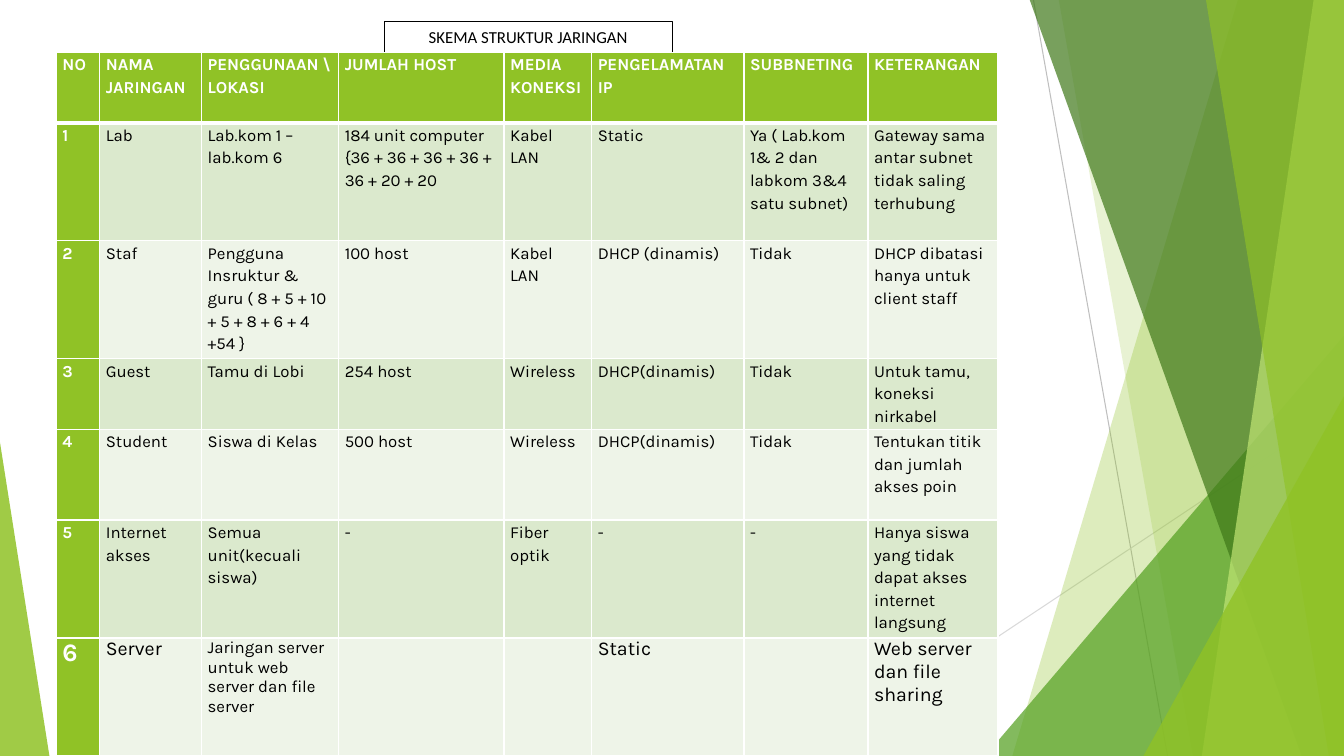
from lxml import etree
from pptx import Presentation
from pptx.dml.color import RGBColor
from pptx.enum.shapes import MSO_CONNECTOR, MSO_SHAPE
from pptx.enum.text import MSO_ANCHOR, PP_ALIGN
from pptx.oxml import parse_xml
from pptx.oxml.ns import nsdecls, qn
from pptx.util import Inches, Pt

WHITE = RGBColor(0xFF, 0xFF, 0xFF)
BLACK = RGBColor(0x00, 0x00, 0x00)
LIME = RGBColor(0x90, 0xC2, 0x26)
GREEN = RGBColor(0x54, 0xA0, 0x21)
DARK_GREEN = RGBColor(0x3F, 0x78, 0x19)
PALE_LIME = RGBColor(0xC0, 0xE4, 0x74)
BAND_DARK = RGBColor(0xDB, 0xE9, 0xCD)
BAND_LIGHT = RGBColor(0xEE, 0xF4, 0xE8)
GREY = RGBColor(0xBF, 0xBF, 0xBF)
LIGHT_GREY = RGBColor(0xD9, 0xD9, 0xD9)

COLS = [0.43, 1.01, 1.36, 1.64, 0.87, 1.51, 1.23, 1.29]
ROWS = [0.7, 1.17, 1.17, 0.7, 0.9, 1.17, 1.17]
NETWORKS = [
    ["NO", "NAMA JARINGAN", "PENGGUNAAN \\ LOKASI", "JUMLAH HOST", "MEDIA KONEKSI",
     "PENGELAMATAN IP", "SUBBNETING", "KETERANGAN"],
    ["1", "Lab", "Lab.kom 1 – lab.kom 6", "184 unit computer {36 + 36 + 36 + 36 + 36 + 20 + 20",
     "Kabel LAN", "Static", "Ya ( Lab.kom 1& 2 dan labkom 3&4 satu subnet)",
     "Gateway sama antar subnet tidak saling terhubung"],
    ["2", "Staf", "Pengguna Insruktur & guru ( 8 + 5 + 10 + 5 + 8 + 6 + 4 +54 }", "100 host",
     "Kabel LAN", "DHCP (dinamis)", "Tidak", "DHCP dibatasi hanya untuk client staff"],
    ["3", "Guest", "Tamu di Lobi", "254 host", "Wireless", "DHCP(dinamis)", "Tidak",
     "Untuk tamu, koneksi nirkabel"],
    ["4", "Student", "Siswa di Kelas", "500 host", "Wireless", "DHCP(dinamis)", "Tidak",
     "Tentukan titik dan jumlah akses poin"],
    ["5", "Internet akses", "Semua unit(kecuali siswa)", "-", "Fiber optik", "-", "-",
     "Hanya siswa yang tidak dapat akses internet langsung"],
    ["6", "Server", "Jaringan server untuk web server dan file server", "", "", "Static", "",
     "Web server dan file sharing"],
]
SERVER_SIZES = {0: 18, 2: 12}


class SlideBuilder:
    """Draws styled elements on the current slide."""

    def __init__(self, s):
        self.s = s
        self.title_font = "Calibri"
        self.table_font = "Karla"

    def line(self, x1, y1, x2, y2, color):
        c = self.s.shapes.add_connector(
            MSO_CONNECTOR.STRAIGHT, Inches(x1), Inches(y1), Inches(x2), Inches(y2))
        c.line.color.rgb = color
        c.line.width = Pt(0.75)
        etree.SubElement(c._element.spPr, qn("a:effectLst"))

    def tint(self, sp, color, opacity):
        sp.shadow.inherit = False
        sp.fill.solid()
        sp.fill.fore_color.rgb = color
        sp.line.fill.background()
        clr = sp._element.spPr.find(qn("a:solidFill"))[0]
        etree.SubElement(clr, qn("a:alpha")).set("val", str(opacity * 1000))

    def band(self, top_x, bottom_x, color, opacity):
        right, top, bottom = 13.33, -0.01, 7.5
        fb = self.s.shapes.build_freeform(Inches(top_x), Inches(top))
        fb.add_line_segments([(Inches(x), Inches(y)) for x, y in
                              ((right, top), (right, bottom), (bottom_x, bottom))])
        self.tint(fb.convert_to_shape(), color, opacity)

    def triangle(self, x, y, w, h, apex, color, opacity):
        sp = self.s.shapes.add_shape(
            MSO_SHAPE.ISOSCELES_TRIANGLE, Inches(x), Inches(y), Inches(w), Inches(h))
        sp.adjustments[0] = apex
        self.tint(sp, color, opacity)

    def format(self, p, font, size, color, bold=False):
        for r in p.runs:
            r.font.name = font
            r.font.size = Pt(size)
            r.font.bold = bold
            r.font.color.rgb = color

    def title(self, text, x, y, w, h):
        sp = self.s.shapes.add_shape(
            MSO_SHAPE.RECTANGLE, Inches(x), Inches(y), Inches(w), Inches(h))
        sp.shadow.inherit = False
        sp.fill.solid()
        sp.fill.fore_color.rgb = WHITE
        sp.line.color.rgb = BLACK
        sp.line.width = Pt(0.5)
        tf = sp.text_frame
        tf.word_wrap = True
        tf.vertical_anchor = MSO_ANCHOR.MIDDLE
        tf.text = text
        p = tf.paragraphs[0]
        p.alignment = PP_ALIGN.CENTER
        self.format(p, self.title_font, 12, BLACK)

    def borders(self, cell, header):
        tcPr = cell._tc.get_or_add_tcPr()
        for side in ("L", "R", "T", "B"):
            width = Pt(3 if header and side == "B" else 1)
            tcPr.append(parse_xml(
                f'<a:ln{side} {nsdecls("a")} w="{width}"><a:solidFill>'
                f'<a:srgbClr val="{WHITE}"/></a:solidFill></a:ln{side}>'))

    def cell(self, cell, text, row, col):
        accent = row == 0 or col == 0
        server = row == len(ROWS) - 1
        self.borders(cell, row == 0)
        cell.fill.solid()
        cell.fill.fore_color.rgb = LIME if accent else BAND_DARK if row % 2 else BAND_LIGHT
        cell.margin_left = cell.margin_right = Inches(0.06)
        cell.margin_top = cell.margin_bottom = 0
        cell.text = text
        p = cell.text_frame.paragraphs[0]
        if not server:
            p.line_spacing = 1.15
            p.space_after = Pt(8)
        size = SERVER_SIZES.get(col, 14) if server else 12
        self.format(p, self.table_font, size, WHITE if accent else BLACK, accent)

    def table(self, data, x, y):
        tbl = self.s.shapes.add_table(
            len(ROWS), len(COLS), Inches(x), Inches(y),
            Inches(sum(COLS)), Inches(sum(ROWS))).table
        for column, w in zip(tbl.columns, COLS):
            column.width = Inches(w)
        for row, h in zip(tbl.rows, ROWS):
            row.height = Inches(h)
        for i, values in enumerate(data):
            for j, text in enumerate(values):
                self.cell(tbl.cell(i, j), text, i, j)


def main():
    prs = Presentation()
    prs.slide_width = Inches(13.33)
    prs.slide_height = Inches(7.5)
    b = SlideBuilder(prs.slides.add_slide(prs.slide_layouts[6]))
    b.line(10.25, 0, 11.58, 7.5, GREY)
    b.line(13.33, 4.03, 8.12, 7.5, LIGHT_GREY)
    b.band(12.28, 10.04, LIME, 30)
    b.band(10.5, 11.83, LIME, 20)
    b.triangle(9.77, 3.33, 3.56, 4.17, 1, GREEN, 72)
    b.band(10.21, 12.91, DARK_GREEN, 70)
    b.band(13.03, 11.92, PALE_LIME, 70)
    b.band(11.96, 13.18, LIME, 65)
    b.triangle(11.34, 3.93, 1.99, 3.57, 1, LIME, 80)
    b.triangle(0, 4.39, 0.49, 3.11, 0, LIME, 85)
    b.title("SKEMA STRUKTUR JARINGAN", 3.81, 0.21, 2.86, 0.31)
    b.table(NETWORKS, 0.56, 0.52)
    prs.save("out.pptx")


if __name__ == "__main__":
    main()
